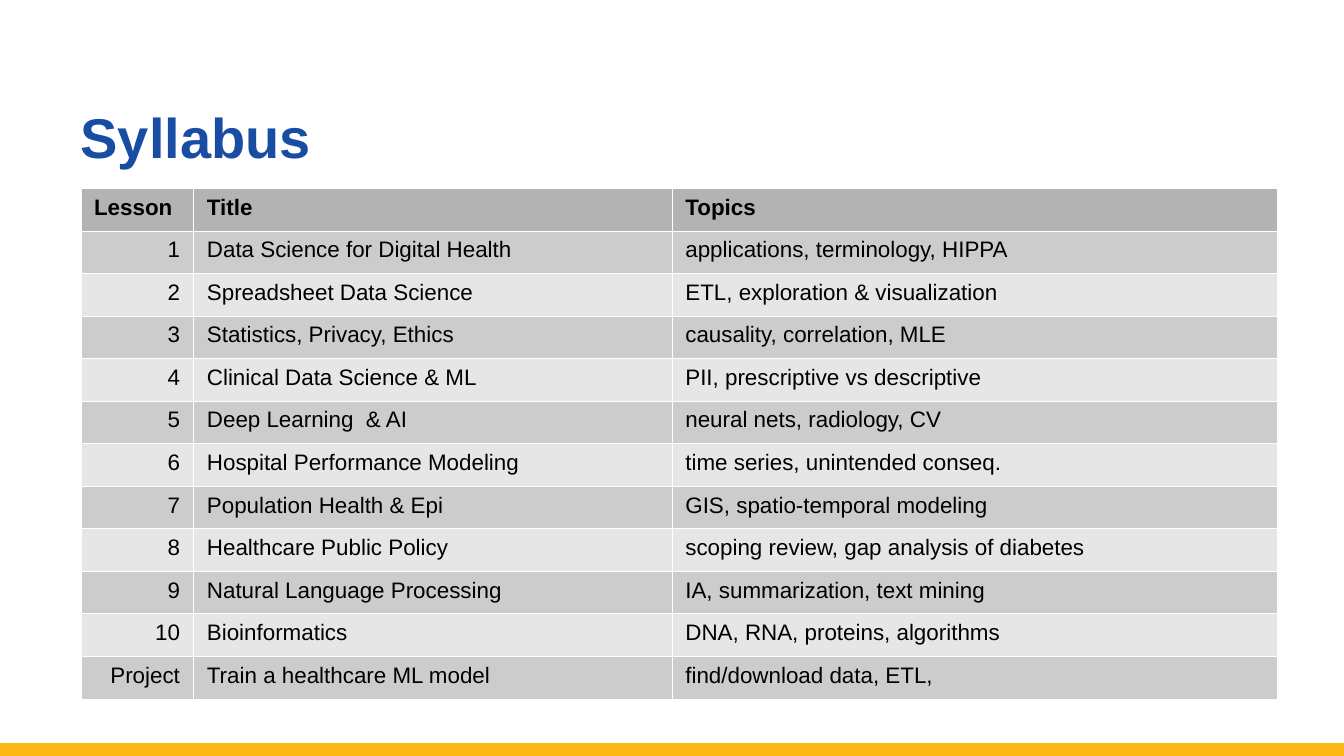
"""Build the syllabus slide: a title, a banded table of lessons and a footer bar."""
from typing import NamedTuple

from lxml.etree import SubElement
from pptx import Presentation
from pptx.dml.color import RGBColor
from pptx.enum.shapes import MSO_CONNECTOR as Connector
from pptx.enum.text import MSO_ANCHOR as Anchor, MSO_AUTO_SIZE as AutoSize, PP_ALIGN as Align
from pptx.oxml.ns import qn
from pptx.util import Inches, Pt

WIDTH = Inches(10)
HEIGHT = WIDTH * 9 // 16
FONT = "Arial"
HEADER_FILL, BAND_FILLS = "B3B3B3", ("CCCCCC", "E6E6E6")


class Column(NamedTuple):
    heading: str
    width: float
    align: Align


class Lesson(NamedTuple):
    number: str
    title: str
    topics: str


COLUMNS = (
    Column("Lesson", 0.84, Align.RIGHT),
    Column("Title", 3.56, Align.LEFT),
    Column("Topics", 4.5, Align.LEFT),
)
LESSONS = (
    Lesson("1", "Data Science for Digital Health", "applications, terminology, HIPPA"),
    Lesson("2", "Spreadsheet Data Science", "ETL, exploration & visualization"),
    Lesson("3", "Statistics, Privacy, Ethics", "causality, correlation, MLE"),
    Lesson("4", "Clinical Data Science & ML", "PII, prescriptive vs descriptive"),
    Lesson("5", "Deep Learning  & AI", "neural nets, radiology, CV"),
    Lesson("6", "Hospital Performance Modeling", "time series, unintended conseq."),
    Lesson("7", "Population Health & Epi", "GIS, spatio-temporal modeling"),
    Lesson("8", "Healthcare Public Policy", "scoping review, gap analysis of diabetes"),
    Lesson("9", "Natural Language Processing", "IA, summarization, text mining"),
    Lesson("10", "Bioinformatics", "DNA, RNA, proteins, algorithms"),
    Lesson("Project", "Train a healthcare ML model", "find/download data, ETL,"),
)


def rgb(color: str) -> RGBColor:
    return RGBColor.from_string(color)


def style(p, size: float, color: str, bold: bool, align: Align) -> None:
    p.alignment = align
    p.font.name, p.font.size, p.font.bold = FONT, Pt(size), bold
    p.font.color.rgb = rgb(color)


def add_footer_bar(s) -> None:
    y = HEIGHT - Pt(3)
    bar = s.shapes.add_connector(Connector.STRAIGHT, 0, y, WIDTH, y)
    bar.line.color.rgb, bar.line.width = rgb("FDB913"), Pt(8)
    SubElement(bar._element.spPr, qn("a:effectLst"))


def add_title(s, text: str) -> None:
    sp = s.shapes.title
    sp.left, sp.top, sp.width, sp.height = int(WIDTH * 0.05), 0, int(WIDTH * 0.9), Inches(1.31)
    tf = sp.text_frame
    tf.text = text
    tf.vertical_anchor, tf.auto_size = Anchor.BOTTOM, AutoSize.NONE
    p = tf.paragraphs[0]
    style(p, 30, "184DA3", True, Align.LEFT)
    p.line_spacing = Pt(58)


def add_borders(cell, color: str, width: float) -> None:
    tc_pr = cell._tc.get_or_add_tcPr()
    for side in ("lnL", "lnR", "lnT", "lnB"):
        ln = SubElement(tc_pr, qn(f"a:{side}"), w=str(Pt(width)))
        SubElement(SubElement(ln, qn("a:solidFill")), qn("a:srgbClr"), val=color)


def fill_cell(cell, text: str, fill: str, bold: bool, align: Align) -> None:
    cell.text = text
    style(cell.text_frame.paragraphs[0], 12, "000000", bold, align)
    add_borders(cell, "FFFFFF", 0.06)
    cell.fill.solid()
    cell.fill.fore_color.rgb = rgb(fill)


def add_syllabus(s) -> None:
    width = Inches(sum(c.width for c in COLUMNS))
    frame = s.shapes.add_table(len(LESSONS) + 1, len(COLUMNS), Inches(0.6), Inches(1.4),
                               width, Inches(3.8))
    table = frame.table
    for i, column in enumerate(COLUMNS):
        table.columns[i].width = Inches(column.width)
        fill_cell(table.cell(0, i), column.heading, HEADER_FILL, True, Align.LEFT)
        for row, lesson in enumerate(LESSONS):
            fill = BAND_FILLS[row % 2]
            fill_cell(table.cell(row + 1, i), lesson[i], fill, False, column.align)


def main() -> None:
    prs = Presentation()
    prs.slide_width, prs.slide_height = WIDTH, HEIGHT
    s = prs.slides.add_slide(prs.slide_layouts[5])
    add_footer_bar(s)
    add_title(s, "Syllabus")
    add_syllabus(s)
    prs.save("out.pptx")


if __name__ == "__main__":
    main()
